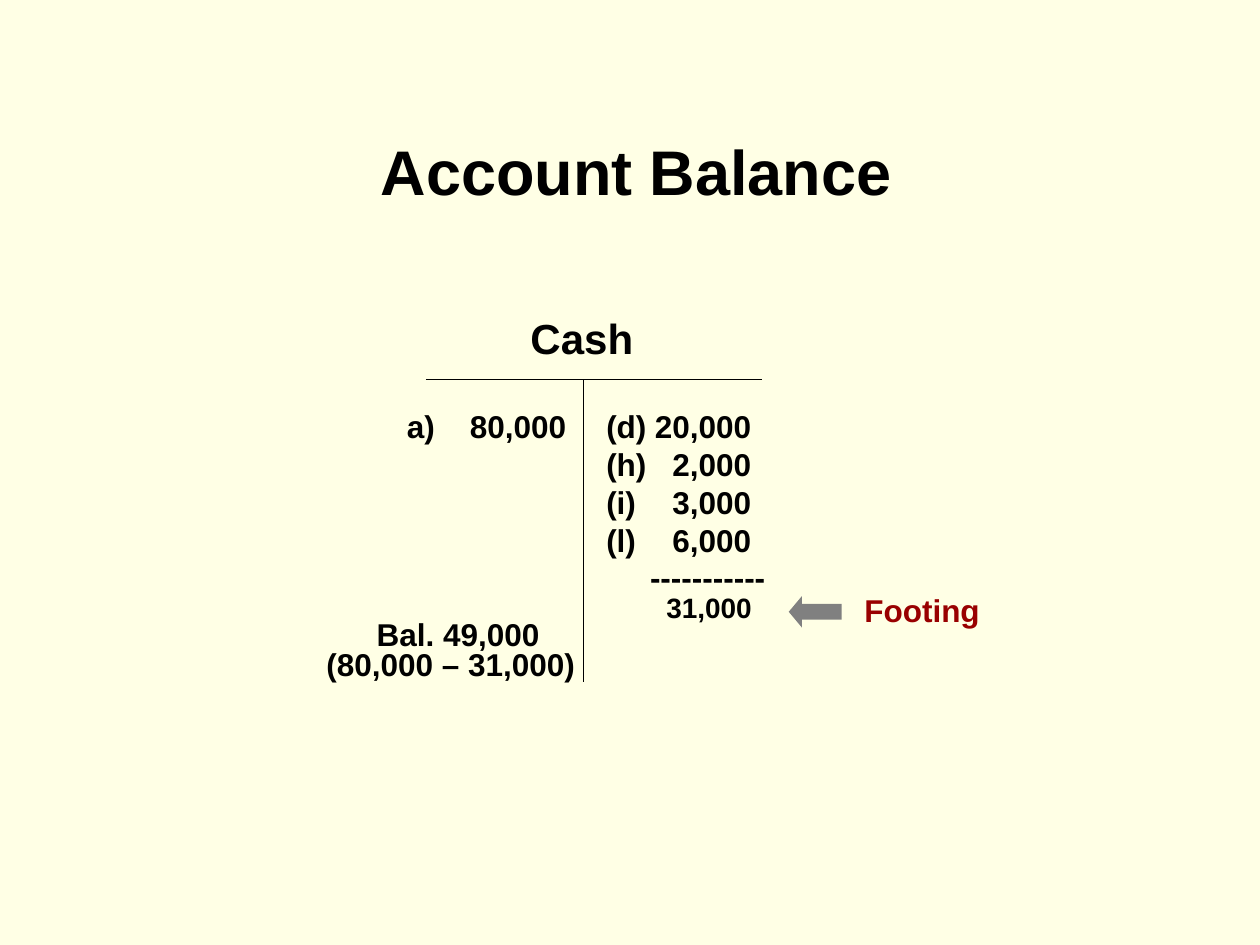
"""Build the Account Balance slide with its Cash T-account."""
from lxml.etree import SubElement
from pptx import Presentation
from pptx.dml.color import RGBColor
from pptx.enum.shapes import MSO_CONNECTOR as Connector, MSO_SHAPE as Shape
from pptx.enum.text import PP_ALIGN as Align
from pptx.oxml.ns import qn
from pptx.util import Pt

CREAM = RGBColor(0xFF, 0xFF, 0xE5)
BLACK = RGBColor(0, 0, 0)
GRAY = RGBColor(0x80, 0x80, 0x80)
RED = RGBColor(0x99, 0, 0)

LABELS = [
    ("Account Balance", (169.2, 72, 388.8, 50.4), 36, BLACK, Align.CENTER),
    ("Cash", (292.5, 175, 80, 36), 24, BLACK, Align.CENTER),
    ("31,000", (373.7, 334, 104.4, 26.6), 16, BLACK, Align.LEFT),
    ("Footing", (486.9, 334, 131.8, 28.8), 18, RED, Align.LEFT),
    ("Bal. 49,000", (208.2, 347.8, 122, 28.8), 18, BLACK, Align.LEFT),
    ("(80,000 – 31,000)", (179.4, 365, 160, 28.8), 18, BLACK, Align.LEFT),
]
DEBIT = "80,000"
DEBIT_BOX = (225.4, 229, 126, 28.8)
DEBIT_INDENT = 36
CREDITS = [("(d)", "20,000"), ("(h)", "2,000"), ("(i)", "3,000"), ("(l)", "6,000")]
SUM_RULE = "-----------"
CREDIT_BOX = (339.4, 229.2, 110.9, 115.2)
AMOUNT_TAB = 82.8
RULE_INDENT = 25
ACCOUNT_LEFT, ACCOUNT_RIGHT, ACCOUNT_MIDDLE = 243.4, 435.6, 333.4
ACCOUNT_TOP, ACCOUNT_BOTTOM = 216.7, 390
ARROW_BOX = (450.7, 340.6, 30.2, 18)


def add_text_frame(slide, box):
    frame = slide.shapes.add_textbox(*map(Pt, box)).text_frame
    frame.word_wrap = True
    return frame


def add_text(paragraph, text, size=18, color=BLACK):
    run = paragraph.add_run()
    run.text = text
    font = run.font
    font.name, font.size, font.bold = "Arial", Pt(size), True
    font.color.rgb = color


def add_line(slide, *ends):
    line = slide.shapes.add_connector(Connector.STRAIGHT, *map(Pt, ends))
    line.line.color.rgb = BLACK
    line.line.width = Pt(0.75)
    SubElement(line._element.spPr, qn("a:effectLst"))


def add_debit(slide):
    paragraph = add_text_frame(slide, DEBIT_BOX).paragraphs[0]
    properties = paragraph._p.get_or_add_pPr()
    properties.set("marL", str(Pt(DEBIT_INDENT)))
    properties.set("indent", str(-Pt(DEBIT_INDENT)))
    SubElement(properties, qn("a:buAutoNum"), type="alphaLcParenR")
    add_text(paragraph, DEBIT)


def add_credits(slide):
    frame = add_text_frame(slide, CREDIT_BOX)
    paragraph = frame.paragraphs[0]
    for label, amount in CREDITS:
        tabs = SubElement(paragraph._p.get_or_add_pPr(), qn("a:tabLst"))
        SubElement(tabs, qn("a:tab"), pos=str(Pt(AMOUNT_TAB)), algn="r")
        add_text(paragraph, f"{label}\t{amount}")
        paragraph = frame.add_paragraph()
    paragraph._p.get_or_add_pPr().set("marL", str(Pt(RULE_INDENT)))
    add_text(paragraph, SUM_RULE)


def add_arrow(slide):
    arrow = slide.shapes.add_shape(Shape.LEFT_ARROW, *map(Pt, ARROW_BOX))
    arrow.adjustments[1] = 0.42
    arrow.shadow.inherit = False
    arrow.fill.solid()
    arrow.fill.fore_color.rgb = GRAY
    arrow.line.fill.background()


def main():
    presentation = Presentation()
    presentation.slide_width, presentation.slide_height = Pt(720), Pt(540)
    slide = presentation.slides.add_slide(presentation.slide_layouts[6])
    slide.background.fill.solid()
    slide.background.fill.fore_color.rgb = CREAM
    for text, box, size, color, alignment in LABELS:
        paragraph = add_text_frame(slide, box).paragraphs[0]
        paragraph.alignment = alignment
        add_text(paragraph, text, size, color)
    add_debit(slide)
    add_credits(slide)
    add_line(slide, ACCOUNT_LEFT, ACCOUNT_TOP, ACCOUNT_RIGHT, ACCOUNT_TOP)
    add_line(slide, ACCOUNT_MIDDLE, ACCOUNT_TOP, ACCOUNT_MIDDLE, ACCOUNT_BOTTOM)
    add_arrow(slide)
    presentation.save("out.pptx")


if __name__ == "__main__":
    main()
